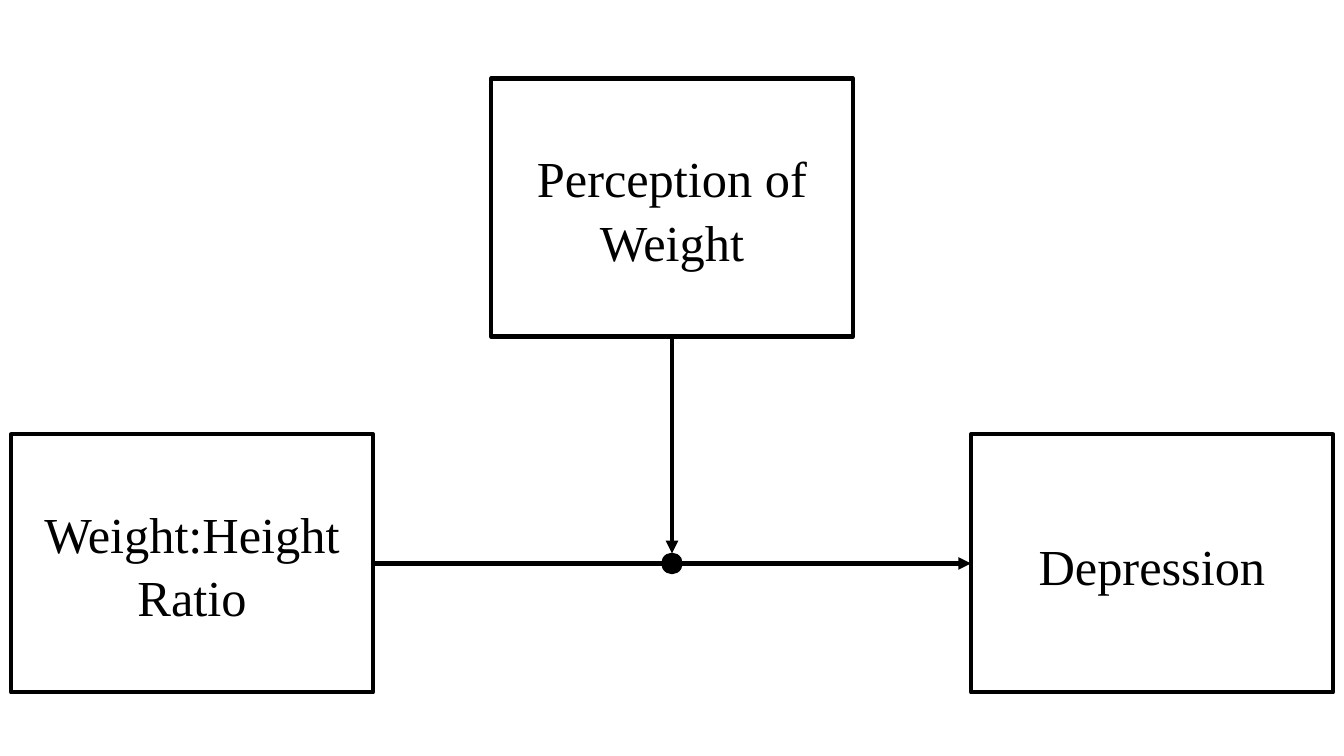
import pptx
import pptx.util
import pptx.dml.color
import pptx.enum.shapes
import pptx.enum.text
import pptx.oxml.ns
from lxml import etree

Inches, Pt = pptx.util.Inches, pptx.util.Pt
SHAPE = pptx.enum.shapes.MSO_SHAPE

# Content: label, left, top
BOXES = [
    ("Perception of Weight", 4.87, 0.78),
    ("Weight:Height Ratio", 0.11, 4.31),
    ("Depression", 9.63, 4.31),
]
BOX_W, BOX_H = 3.59, 2.56
DOT = 0.2
FONT = "Times New Roman"
BLACK, WHITE = "000000", "FFFFFF"

prs = pptx.Presentation()
prs.slide_width, prs.slide_height = Inches(13.33), Inches(7.5)
s = prs.slides.add_slide(prs.slide_layouts[6])


def rgb(color):
    return pptx.dml.color.RGBColor.from_string(color)


def add_shape(kind, x, y, w, h, fill, line_pt):
    sp = s.shapes.add_shape(kind, Inches(x), Inches(y), Inches(w), Inches(h))
    sp.shadow.inherit = False
    sp.fill.solid()
    sp.fill.fore_color.rgb = rgb(fill)
    sp.line.color.rgb = rgb(BLACK)
    sp.line.width = Pt(line_pt)
    return sp


def add_box(label, x, y):
    sp = add_shape(SHAPE.RECTANGLE, x, y, BOX_W, BOX_H, WHITE, 3)
    tf = sp.text_frame
    tf.word_wrap = True
    tf.vertical_anchor = pptx.enum.text.MSO_ANCHOR.MIDDLE
    p = tf.paragraphs[0]
    p.alignment = pptx.enum.text.PP_ALIGN.CENTER
    p.line_spacing = 1.05
    r = p.add_run()
    r.text = label
    r.font.name, r.font.size = FONT, Pt(36)
    r.font.color.rgb = rgb(BLACK)


def add_arrow(x1, y1, x2, y2):
    c = s.shapes.add_connector(pptx.enum.shapes.MSO_CONNECTOR.STRAIGHT,
                               Inches(x1), Inches(y1), Inches(x2), Inches(y2))
    c.line.color.rgb = rgb(BLACK)
    c.line.width = Pt(3)
    qn = pptx.oxml.ns.qn
    etree.SubElement(c.line._get_or_add_ln(), qn("a:tailEnd"), type="triangle")
    etree.SubElement(c._element.spPr, qn("a:effectLst"))


# Boxes
for box in BOXES:
    add_box(*box)

# Arrows meet at the moderation dot
(_, mod_x, mod_y), (_, cause_x, row_y), (_, effect_x, _) = BOXES
dot_x = mod_x + BOX_W / 2
path_y = row_y + BOX_H / 2
add_arrow(dot_x, mod_y + BOX_H, dot_x, path_y - DOT / 2)
add_arrow(cause_x + BOX_W, path_y, effect_x, path_y)
add_shape(SHAPE.OVAL, dot_x - DOT / 2, path_y - DOT / 2, DOT, DOT, BLACK, 1)

prs.save("out.pptx")
